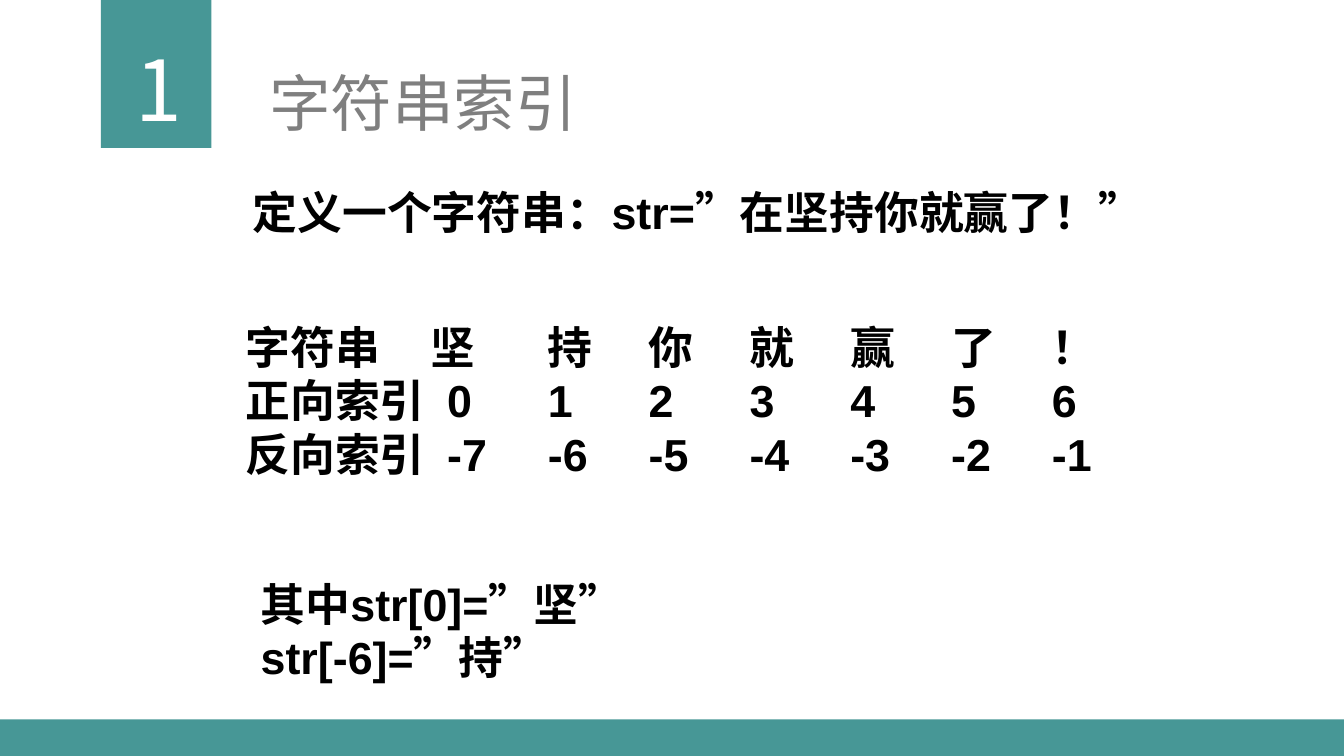
from lxml.etree import SubElement
from pptx import Presentation
from pptx.dml.color import RGBColor
from pptx.enum.shapes import MSO_SHAPE as Shape
from pptx.enum.text import MSO_ANCHOR as Anchor, MSO_AUTO_SIZE as AutoSize, PP_ALIGN as Align
from pptx.oxml.ns import qn
from pptx.util import Cm, Pt

TEAL = "479796"
GREY = "7F7F7F"
WHITE = "FFFFFF"
BLACK = "000000"
CHINESE_FONT = "Noto Sans CJK SC"
INDEX_STEP = 2.54
CHARACTERS = "坚持你就赢了！"


def color(hex_string):
    """Turn a hex string into a colour."""
    return RGBColor.from_string(hex_string)


def add_block(slide, left, top, width, height):
    """Add a plain teal rectangle."""
    block = slide.shapes.add_shape(Shape.RECTANGLE, Cm(left), Cm(top), Cm(width), Cm(height))
    block.shadow.inherit = False
    block.fill.solid()
    block.fill.fore_color.rgb = color(TEAL)
    block.line.fill.background()


def write(box, text, size, hex_string, font="Arial", east_font=CHINESE_FONT, bold=False, align=Align.LEFT):
    """Fill a box with text and format every run."""
    frame = box.text_frame
    frame.text = text
    frame.word_wrap = True
    frame.auto_size = AutoSize.SHAPE_TO_FIT_TEXT
    frame.vertical_anchor = Anchor.TOP
    for para in frame.paragraphs:
        para.alignment = align
        for span in para.runs:
            span.font.size = Pt(size)
            span.font.bold = bold
            span.font.color.rgb = color(hex_string)
            span.font.name = font
            SubElement(span.font._element, qn("a:ea"), typeface=east_font)


def add_text(slide, left, top, width, height, text, size=32, hex_string=BLACK, **style):
    """Add a text box with formatted text."""
    box = slide.shapes.add_textbox(Cm(left), Cm(top), Cm(width), Cm(height))
    write(box, text, size, hex_string, **style)
    return box


def set_tabs(para, stops):
    """Give a paragraph left tab stops at the given centimetres."""
    tab_list = SubElement(para._p.get_or_add_pPr(), qn("a:tabLst"))
    for stop in stops:
        SubElement(tab_list, qn("a:tab"), pos=str(Cm(stop)), algn="l")


def add_title(slide, text):
    """Place the slide title beside the number block."""
    title = slide.shapes.title
    title.left, title.top, title.width, title.height = Cm(6.53), Cm(1.5), Cm(17.6), Cm(2.13)
    write(title, text, 44, GREY, font=CHINESE_FONT)


def add_index_rows(slide):
    """Add the characters with their forward and backward indexes in tabbed columns."""
    count = len(CHARACTERS)
    rows = [
        ("字符串", CHARACTERS),
        ("正向索引", range(count)),
        ("反向索引", range(-count, 0)),
    ]
    text = "\n".join("\t".join([label, *map(str, values)]) for label, values in rows)
    box = add_text(slide, 5.94, 7.92, 27.9, 4.37, text, bold=True)
    stops = [INDEX_STEP * column for column in range(2, count + 2)]
    header, *index_rows = box.text_frame.paragraphs
    set_tabs(header, [4.65, *stops[1:]])
    for para in index_rows:
        set_tabs(para, stops)


def main():
    """Build the string index slide."""
    deck = Presentation()
    deck.slide_width, deck.slide_height = Cm(33.87), Cm(19.05)
    slide = deck.slides.add_slide(deck.slide_layouts[5])
    add_block(slide, 2.54, 0, 2.79, 3.73)
    add_text(slide, 2.62, 0.81, 2.79, 2.82, "1", 60, WHITE,
             font="Noto Sans CJK KR", east_font="Noto Sans CJK KR", align=Align.CENTER)
    add_title(slide, "字符串索引")
    add_block(slide, 0, 18.13, 33.87, 0.92)
    add_text(slide, 6.12, 4.52, 27.7, 1.63, "定义一个字符串：str=”在坚持你就赢了！”", bold=True)
    add_index_rows(slide)
    add_text(slide, 6.32, 14.4, 17.65, 3, "其中str[0]=”坚”\nstr[-6]=”持”", bold=True)
    deck.save("out.pptx")


if __name__ == "__main__":
    main()
